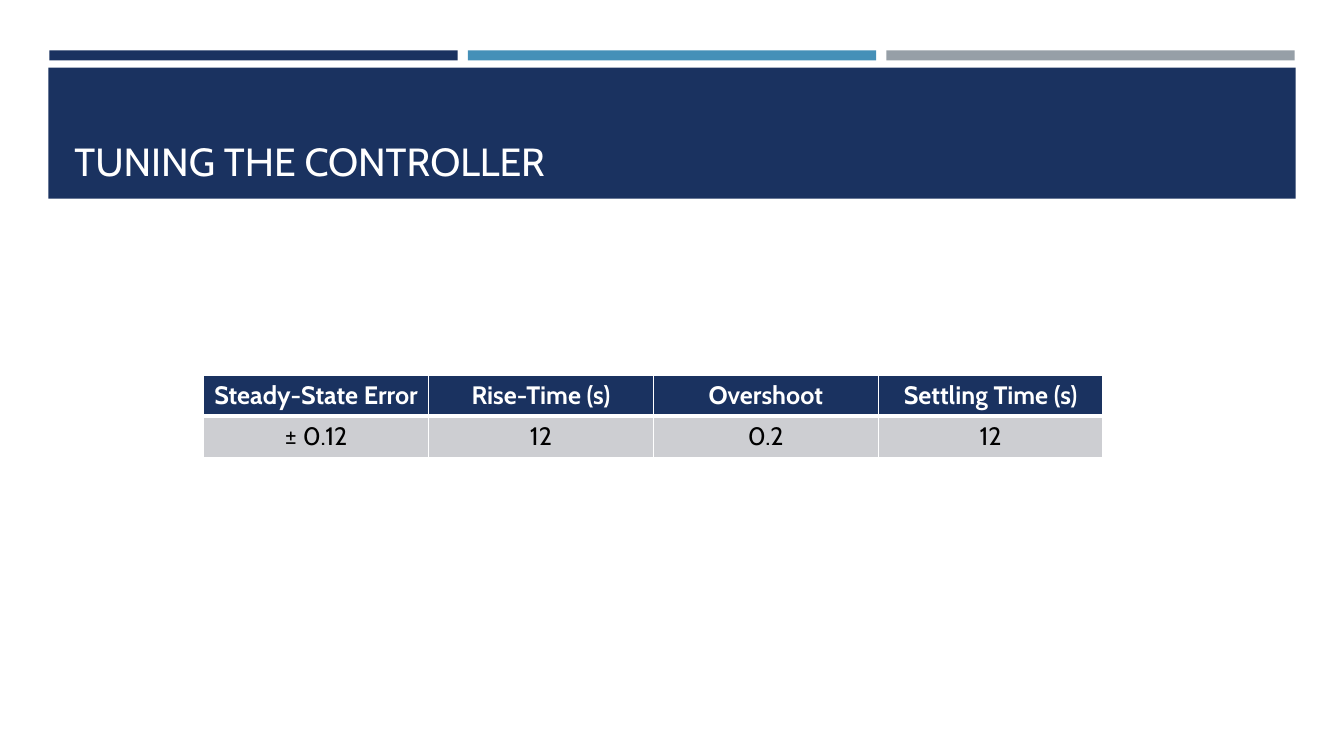
from lxml.etree import fromstring
from pptx import Presentation
from pptx.dml.color import RGBColor
from pptx.enum.shapes import MSO_SHAPE
from pptx.enum.text import MSO_ANCHOR, PP_ALIGN
from pptx.util import Inches, Pt

COLORS = {"navy": "1A3260", "blue": "4590B8", "gray": "969FA7",
          "row": "CDCED2", "white": "FFFFFF", "black": "000000"}
DRAWING_NS = "http://schemas.openxmlformats.org/drawingml/2006/main"


def write_text(frame, text, size=18, color="black", bold=False,
               align=PP_ALIGN.LEFT):
    paragraph = frame.paragraphs[0]
    paragraph.alignment = align
    run = paragraph.add_run()
    run.text = text
    run.font.name = "Cabin"
    run.font.size = Pt(size)
    run.font.bold = bold
    run.font.color.rgb = RGBColor.from_string(COLORS[color])


def add_bar(left, top, width, height, color):
    bar = slide.shapes.add_shape(MSO_SHAPE.RECTANGLE, Inches(left), Inches(top),
                                 Inches(width), Inches(height))
    bar.shadow.inherit = False
    bar.fill.solid()
    bar.fill.fore_color.rgb = RGBColor.from_string(COLORS[color])
    bar.line.fill.background()


deck = Presentation()
deck.slide_width, deck.slide_height = Inches(13.33), Inches(7.5)
slide = deck.slides.add_slide(deck.slide_layouts[6])

# Three accent strips over the title band
strip_width, strip_step = 4.05, 4.15
for column, color in enumerate(["navy", "blue", "gray"]):
    add_bar(0.49 + column * strip_step, 0.5, strip_width, 0.1, color)
add_bar(0.48, 0.67, 12.37, 1.3, "navy")

# Title
title = slide.shapes.add_textbox(Inches(0.64), Inches(0.77),
                                 Inches(12.06), Inches(1.11)).text_frame
title.word_wrap = True
title.vertical_anchor = MSO_ANCHOR.BOTTOM
write_text(title, "TUNING THE CONTROLLER", size=28, color="white")

# Table of controller results
results = [["Steady-State Error", "Rise-Time (s)", "Overshoot", "Settling Time (s)"],
           ["± 0.12", "12", "0.2", "12"]]
column_width, row_height = 2.23, 0.41
table = slide.shapes.add_table(
    len(results), len(results[0]), Inches(2.02), Inches(3.72),
    Inches(column_width * len(results[0])),
    Inches(row_height * len(results))).table

for row, values in enumerate(results):
    is_header = row == 0
    # The rule between header and values is thicker than the other borders
    borders = {"lnL": 1, "lnR": 1, "lnT": 1 if is_header else 3,
               "lnB": 3 if is_header else 1}
    for column, value in enumerate(values):
        cell = table.cell(row, column)
        cell.fill.solid()
        cell.fill.fore_color.rgb = RGBColor.from_string(
            COLORS["navy" if is_header else "row"])
        write_text(cell.text_frame, value, bold=is_header, align=PP_ALIGN.CENTER,
                   color="white" if is_header else "black")
        properties = cell._tc.get_or_add_tcPr()
        for position, (side, width) in enumerate(borders.items()):
            properties.insert(position, fromstring(
                f'<a:{side} xmlns:a="{DRAWING_NS}" w="{Pt(width)}"><a:solidFill>'
                f'<a:srgbClr val="{COLORS["white"]}"/></a:solidFill></a:{side}>'))

deck.save("out.pptx")
